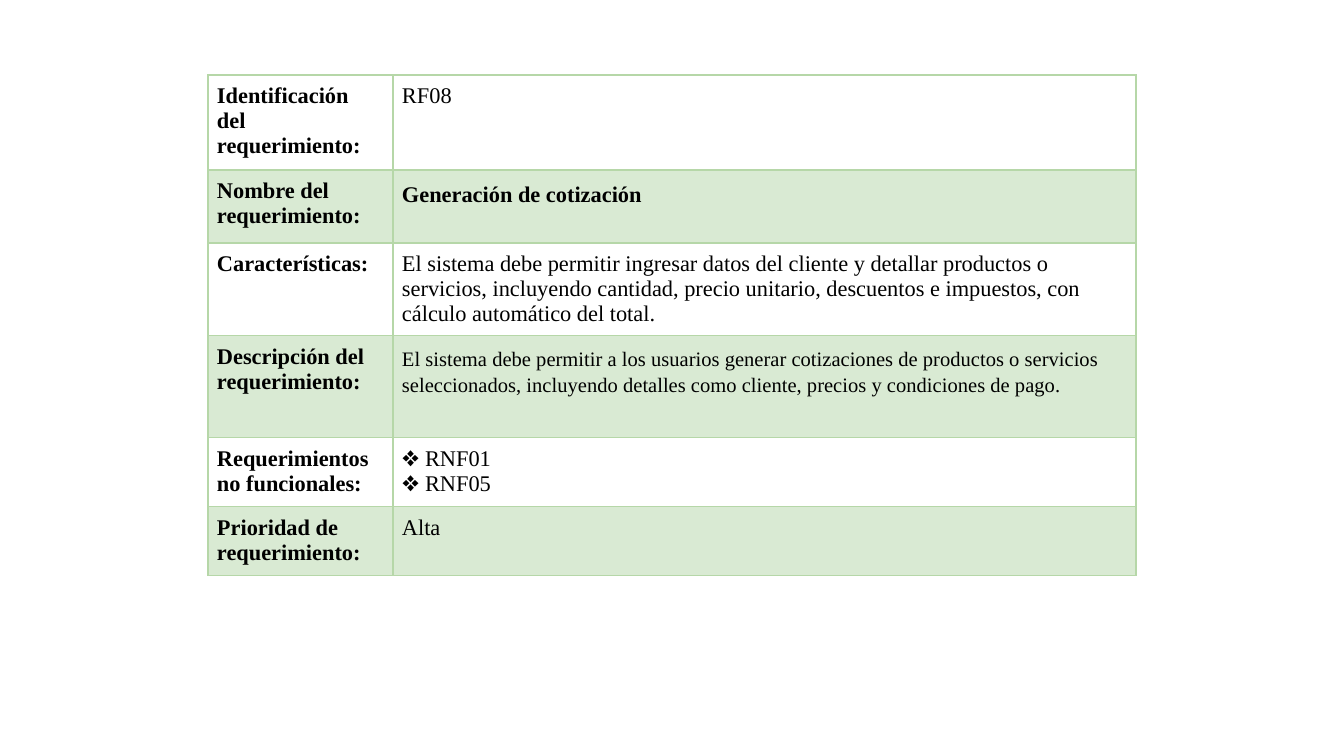
from lxml.etree import SubElement
from pptx import Presentation
from pptx.dml.color import RGBColor
from pptx.oxml.ns import qn
from pptx.util import Pt

PX = 914400 / 134.4
COLORS = {"text": "000000", "border": "B6D7A8", "band": "D9EAD3", "plain": "FFFFFF"}
COLUMN_WIDTHS = [185, 743]
CELL_MARGIN = 9
FONT = "Times New Roman"

ROWS = [
    (95, ["Identificación", "del", "requerimiento:"], ["RF08"], {}),
    (73, ["Nombre del", "requerimiento:"], ["Generación de cotización"],
     {"bold": True, "spacing": 1.15}),
    (44, ["Características:"],
     ["El sistema debe permitir ingresar datos del cliente y detallar productos o "
      "servicios, incluyendo cantidad, precio unitario, descuentos e impuestos, con "
      "cálculo automático del total."], {}),
    (102, ["Descripción del", "requerimiento:"],
     ["El sistema debe permitir a los usuarios generar cotizaciones de productos o "
      "servicios seleccionados, incluyendo detalles como cliente, precios y "
      "condiciones de pago."], {"size": 11, "spacing": 1.15}),
    (69, ["Requerimientos", "no funcionales:"], ["❖ RNF01", "❖ RNF05"], {}),
    (69, ["Prioridad de", "requerimiento:"], ["Alta"], {}),
]


def px(length):
    return round(length * PX)


def fill_cell(cell, lines, color, bold=False, size=12, spacing=None):
    cell.margin_left = cell.margin_right = px(CELL_MARGIN)
    cell.margin_top = cell.margin_bottom = px(CELL_MARGIN)
    properties = cell._tc.get_or_add_tcPr()
    for side in ("lnL", "lnR", "lnT", "lnB"):
        border = SubElement(properties, qn(f"a:{side}"), w=str(Pt(1)))
        solid = SubElement(border, qn("a:solidFill"))
        SubElement(solid, qn("a:srgbClr"), val=COLORS["border"])
    cell.fill.solid()
    cell.fill.fore_color.rgb = RGBColor.from_string(color)
    frame = cell.text_frame
    for index, line in enumerate(lines):
        paragraph = frame.add_paragraph() if index else frame.paragraphs[0]
        if spacing:
            paragraph.line_spacing = spacing
        span = paragraph.add_run()
        span.text = line
        span.font.name = FONT
        span.font.size = Pt(size)
        span.font.bold = bold
        span.font.color.rgb = RGBColor.from_string(COLORS["text"])


deck = Presentation()
deck.slide_width, deck.slide_height = px(1344), px(756)
page = deck.slides.add_slide(deck.slide_layouts[6])

table_height = sum(row[0] for row in ROWS)
table = page.shapes.add_table(
    len(ROWS), len(COLUMN_WIDTHS), px(208), px(75),
    px(sum(COLUMN_WIDTHS)), px(table_height)).table
table.first_row = False
table.horz_banding = False

for column, width in zip(table.columns, COLUMN_WIDTHS):
    column.width = px(width)

for index, (height, label, value, style) in enumerate(ROWS):
    table.rows[index].height = px(height)
    color = COLORS["band"] if index % 2 else COLORS["plain"]
    fill_cell(table.cell(index, 0), label, color, bold=True)
    fill_cell(table.cell(index, 1), value, color, **style)

deck.save("out.pptx")
